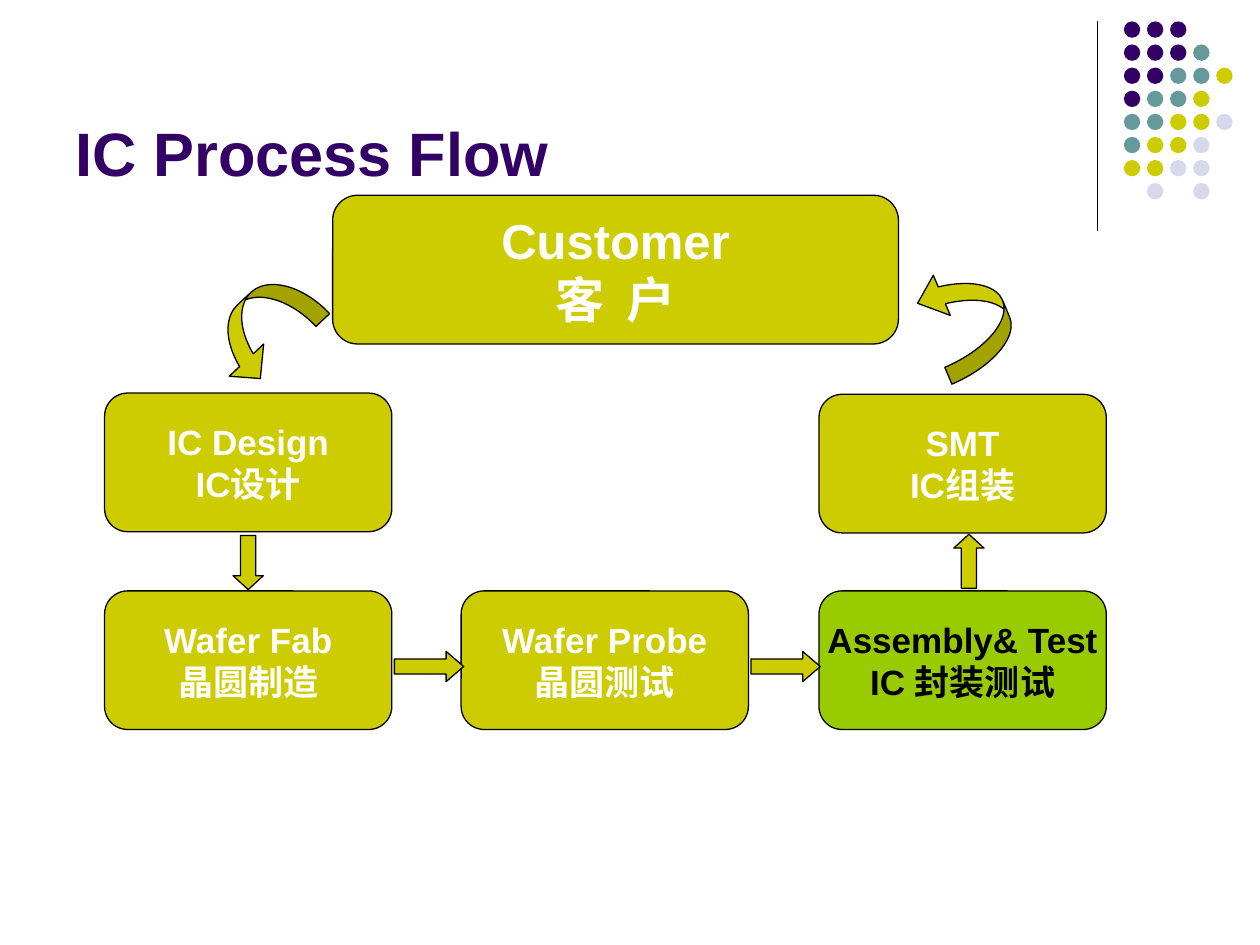
from lxml import etree
from pptx import Presentation
from pptx.dml.color import RGBColor
from pptx.enum import shapes, text
from pptx.oxml.ns import qn
from pptx.util import Inches, Pt

PURPLE = RGBColor(0x33, 0x00, 0x66)
TEAL = RGBColor(0x66, 0x99, 0x99)
OLIVE = RGBColor(0xCC, 0xCC, 0x00)
LAVENDER = RGBColor(0xD8, 0xD8, 0xEC)
GREEN = RGBColor(0x99, 0xCC, 0x00)
BLACK = RGBColor(0x00, 0x00, 0x00)
WHITE = RGBColor(0xFF, 0xFF, 0xFF)
KIND = shapes.MSO_SHAPE

# Content
TITLE = "IC Process Flow"
DOT_ROWS = ["PPP", "PPPT", "PPTTO", "PTTO", "TTOOL", "TOOL", "OOLL", " L L"]
DOT_COLORS = {"P": PURPLE, "T": TEAL, "O": OLIVE, "L": LAVENDER}
CUSTOMER = ["Customer", "客  户"]
COLUMNS = [0.83, 3.66, 6.5]
UPPER, LOWER = 3.12, 4.69
STEP_WIDTH, STEP_HEIGHT = 2.28, 1.1
STEPS = [  # lines, column, top, fill, text colour
    (["IC Design", "IC设计"], 0, UPPER, OLIVE, WHITE),
    (["Wafer Fab", "晶圆制造"], 0, LOWER, OLIVE, WHITE),
    (["Wafer Probe", "晶圆测试"], 1, LOWER, OLIVE, WHITE),
    (["Assembly& Test", "IC 封装测试"], 2, LOWER, GREEN, BLACK),
    (["SMT", "IC组装"], 2, UPPER + 0.01, OLIVE, WHITE),
]
ARROWS = [  # kind, left, top, width, height, rotation, adjustments
    (KIND.CURVED_RIGHT_ARROW, 1.81, 2.14, 0.55, 0.94, 46.9, (0.27, 0.68, 0.33)),
    (KIND.DOWN_ARROW, 1.85, 4.25, 0.24, 0.43, 0, (0.5, 0.46)),
    (KIND.RIGHT_ARROW, 3.13, 5.17, 0.55, 0.24, 0, (0.5, 0.58)),
    (KIND.RIGHT_ARROW, 5.96, 5.17, 0.55, 0.24, 0, (0.5, 0.58)),
    (KIND.UP_ARROW, 7.57, 4.24, 0.24, 0.43, 0, (0.5, 0.46)),
    (KIND.CURVED_UP_ARROW, 7.24, 2.21, 0.87, 0.63, 247, (0.23, 0.55, 0.32)),
]

deck = Presentation()
deck.slide_width, deck.slide_height = Inches(10), Inches(7.5)
page = deck.slides.add_slide(deck.slide_layouts[6])


def add_shape(kind, left, top, width, height, fill, outlined=True):
    shape = page.shapes.add_shape(
        kind, Inches(left), Inches(top), Inches(width), Inches(height))
    shape.shadow.inherit = False
    shape.fill.solid()
    shape.fill.fore_color.rgb = fill
    if outlined:
        shape.line.color.rgb = BLACK
        shape.line.width = Pt(0.75)
    else:
        shape.line.fill.background()
    return shape


def write(shape, lines, size, color, align=text.PP_ALIGN.CENTER,
          anchor=text.MSO_ANCHOR.MIDDLE, wrap=False):
    frame = shape.text_frame
    frame.word_wrap = wrap
    frame.vertical_anchor = anchor
    frame.text = "\n".join(lines)
    for para in frame.paragraphs:
        para.alignment = align
        for span in para.runs:
            span.font.name = "Arial"
            span.font.size = Pt(size)
            span.font.bold = True
            span.font.color.rgb = color


# Corner decoration: rule and dot grid
rule = page.shapes.add_connector(
    shapes.MSO_CONNECTOR.STRAIGHT,
    Inches(8.71), Inches(0.17), Inches(8.71), Inches(1.83))
rule.line.color.rgb = BLACK
rule.line.width = Pt(0.75)
etree.SubElement(rule.element.spPr, qn("a:effectLst"))

DOT_PITCH = 1.1 / 6
for row, marks in enumerate(DOT_ROWS):
    for column, mark in enumerate(marks):
        if mark in DOT_COLORS:
            add_shape(KIND.OVAL, 8.92 + column * DOT_PITCH, 0.17 + row * DOT_PITCH,
                      0.13, 0.13, DOT_COLORS[mark], outlined=False)

# Title
title = page.shapes.add_textbox(Inches(0.5), Inches(0.13), Inches(8.25), Inches(1.42))
write(title, [TITLE], 35, PURPLE, align=text.PP_ALIGN.LEFT,
      anchor=text.MSO_ANCHOR.BOTTOM, wrap=True)

# Customer and process steps
customer = add_shape(KIND.ROUNDED_RECTANGLE, 2.64, 1.55, 4.49, 1.18, OLIVE)
write(customer, CUSTOMER, 28, WHITE)
for lines, column, top, fill, color in STEPS:
    box = add_shape(KIND.ROUNDED_RECTANGLE, COLUMNS[column], top,
                    STEP_WIDTH, STEP_HEIGHT, fill)
    write(box, lines, 20, color)

# Flow arrows
for kind, left, top, width, height, rotation, adjustments in ARROWS:
    arrow = add_shape(kind, left, top, width, height, OLIVE)
    arrow.rotation = rotation
    for index, value in enumerate(adjustments):
        arrow.adjustments[index] = value

deck.save("out.pptx")
